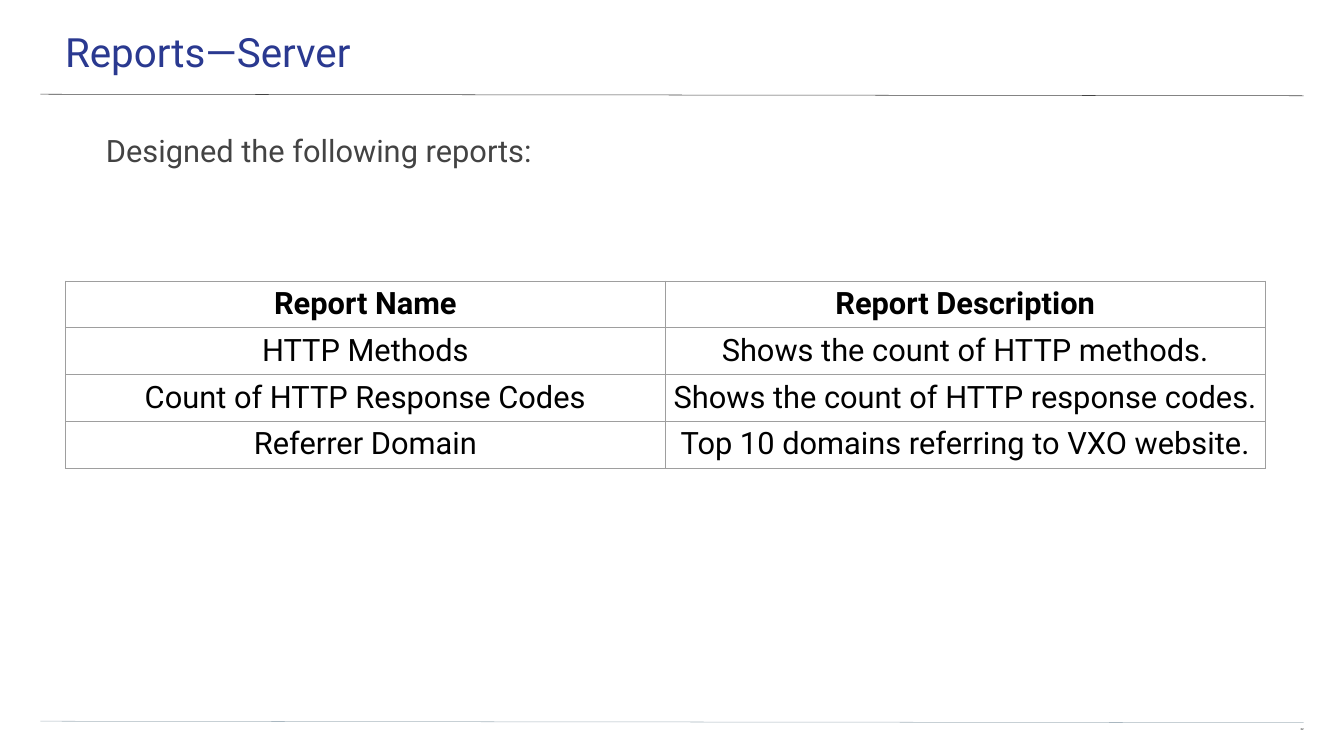
from pptx import Presentation
from pptx.dml.color import RGBColor
from pptx.enum.shapes import MSO_CONNECTOR
from pptx.enum.text import MSO_ANCHOR, MSO_AUTO_SIZE, PP_ALIGN
from pptx.oxml.ns import qn
from pptx.util import Inches, Pt
from lxml.etree import SubElement

COLORS = {
    "title": "2A3990",
    "body": "434343",
    "text": "000000",
    "top_rule": "434343",
    "bottom_rule": "A9B7C0",
    "border": "9E9E9E",
}
REPORTS = [
    ("Report Name", "Report Description"),
    ("HTTP Methods", "Shows the count of HTTP methods."),
    ("Count of HTTP Response Codes", "Shows the count of HTTP response codes."),
    ("Referrer Domain", "Top 10 domains referring to VXO website."),
]


class SlideBuilder:
    font = "Roboto"

    def __init__(self, slide):
        self.s = slide

    def rule(self, x1, y1, x2, y2, color):
        line = self.s.shapes.add_connector(
            MSO_CONNECTOR.STRAIGHT, Inches(x1), Inches(y1), Inches(x2), Inches(y2))
        line.line.color.rgb = RGBColor.from_string(COLORS[color])
        line.line.width = Pt(0.75)
        SubElement(line._element.spPr, qn("a:effectLst"))

    def add_run(self, tf, text, size, color, align=PP_ALIGN.LEFT, bold=False, spacing=1.0):
        p = tf.paragraphs[0]
        p.alignment = align
        p.line_spacing = spacing
        r = p.add_run()
        r.text = text
        r.font.name = self.font
        r.font.size = Pt(size)
        r.font.bold = bold
        r.font.color.rgb = RGBColor.from_string(COLORS[color])

    def frame(self, sp, insets):
        tf = sp.text_frame
        tf.word_wrap = True
        tf.auto_size = MSO_AUTO_SIZE.NONE
        tf.vertical_anchor = MSO_ANCHOR.TOP
        tf.margin_left, tf.margin_top, tf.margin_right, tf.margin_bottom = map(Inches, insets)
        return tf

    def title(self, text, box, insets, size):
        sp = self.s.shapes.title
        sp.left, sp.top, sp.width, sp.height = map(Inches, box)
        self.add_run(self.frame(sp, insets), text, size, "title")

    def text(self, text, box, insets, size, color, **style):
        sp = self.s.shapes.add_textbox(*map(Inches, box))
        self.add_run(self.frame(sp, insets), text, size, color, **style)

    def border(self, cell):
        tcPr = cell._tc.get_or_add_tcPr()
        for i, side in enumerate(("lnL", "lnR", "lnT", "lnB")):
            ln = tcPr.makeelement(qn(f"a:{side}"), {"w": str(Pt(0.75))})
            fill = SubElement(ln, qn("a:solidFill"))
            SubElement(fill, qn("a:srgbClr"), val=COLORS["border"])
            tcPr.insert(i, ln)

    def table(self, rows, x, y, col_w, row_h, size):
        n_rows, n_cols = len(rows), len(rows[0])
        table = self.s.shapes.add_table(
            n_rows, n_cols, Inches(x), Inches(y),
            Inches(col_w * n_cols), Inches(row_h * n_rows)).table
        table.horz_banding = False
        for i, row in enumerate(rows):
            for j, text in enumerate(row):
                cell = table.cell(i, j)
                cell.fill.background()
                cell.margin_left = cell.margin_right = Inches(0.1)
                cell.margin_top = cell.margin_bottom = Inches(0.1)
                self.add_run(cell.text_frame, text, size, "text", PP_ALIGN.CENTER, bold=i == 0)
                self.border(cell)


def main():
    prs = Presentation()
    prs.slide_width, prs.slide_height = Inches(26.66), Inches(15)
    b = SlideBuilder(prs.slides.add_slide(prs.slide_layouts[5]))

    # Header and footer rules
    b.rule(0.8, 1.87, 25.86, 1.9, "top_rule")
    b.rule(0.8, 14.31, 25.86, 14.34, "bottom_rule")

    # Title and slide number
    b.title("Reports—Server", (-0.04, 0, 26.73, 1.56), (1.33, 0.53, 0.8, 0.27), 57.6)
    b.text("22", (25.1, 14.46, 0.76, 0.31), (0, 0, 0, 0.27), 4, "text",
           align=PP_ALIGN.RIGHT, spacing=0.8)

    # Introduction and report table
    b.text("Designed the following reports:", (0.77, 2.51, 25.09, 10.79),
           (1.33, 0, 1.33, 2.67), 44, "body", spacing=1.15)
    b.table(REPORTS, 1.3, 5.57, 11.9, 0.93, 44)

    prs.save("out.pptx")


if __name__ == "__main__":
    main()
